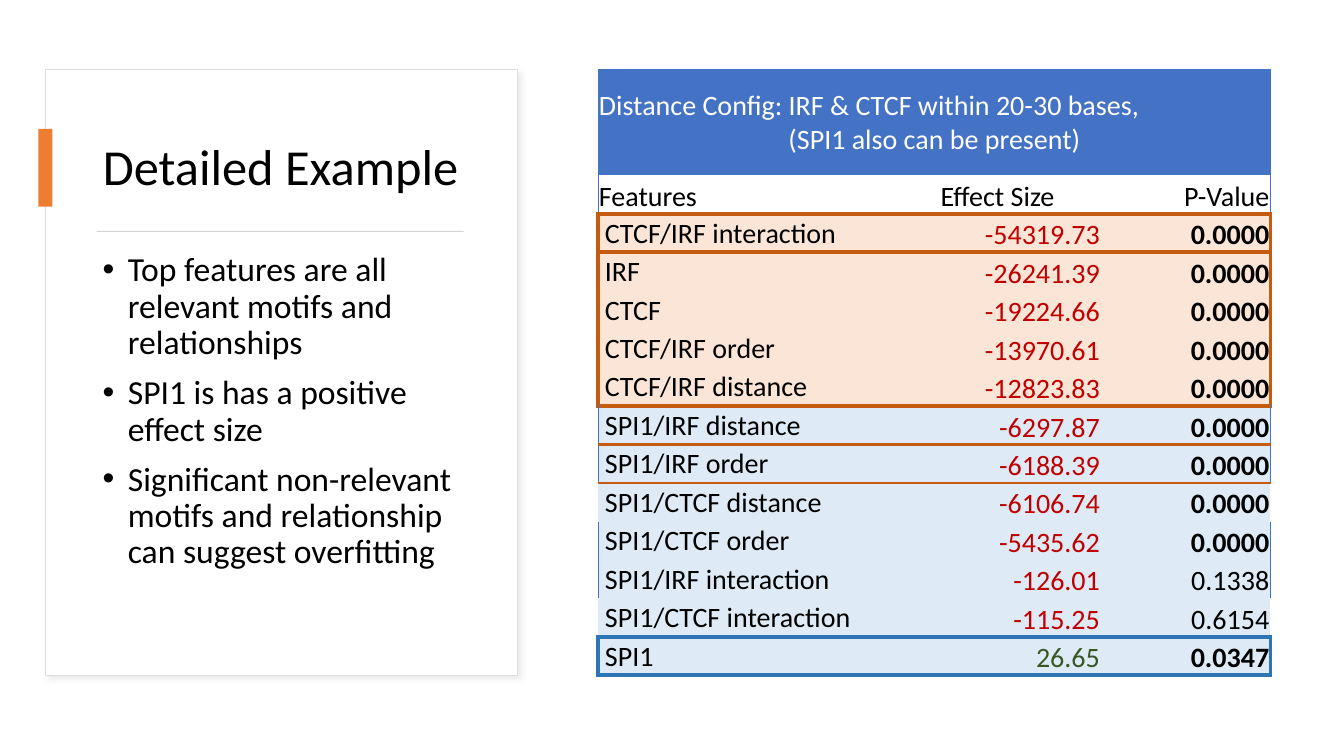
from pptx import Presentation
from pptx.dml.color import RGBColor
from pptx.enum.shapes import MSO_SHAPE
from pptx.enum.text import MSO_ANCHOR, MSO_AUTO_SIZE, PP_ALIGN
from pptx.oxml import parse_xml
from pptx.oxml.ns import nsdecls
from pptx.util import Inches, Pt

WHITE = RGBColor(0xFF, 0xFF, 0xFF)
BLACK = RGBColor(0, 0, 0)
CARD_LINE = RGBColor(0xDE, 0xDE, 0xDE)
RULE_GREY = RGBColor(0xD5, 0xD5, 0xD5)
ORANGE = RGBColor(0xED, 0x7D, 0x31)
BLUE = RGBColor(0x44, 0x72, 0xC4)
PEACH = RGBColor(0xFB, 0xE5, 0xD6)
PALE_BLUE = RGBColor(0xDE, 0xEB, 0xF7)
RED = RGBColor(0xC0, 0, 0)
GREEN = RGBColor(0x38, 0x57, 0x23)
DARK_ORANGE = RGBColor(0xC5, 0x5A, 0x11)
DARK_BLUE = RGBColor(0x2E, 0x75, 0xB6)

THIN = (BLUE, 0.5)
ORANGE_FRAME = (DARK_ORANGE, 3)
BLUE_FRAME = (DARK_BLUE, 3)

FEATURES = [
    ("CTCF/IRF interaction", "-54319.73", "0.0000"),
    ("IRF", "-26241.39", "0.0000"),
    ("CTCF", "-19224.66", "0.0000"),
    ("CTCF/IRF order", "-13970.61", "0.0000"),
    ("CTCF/IRF distance", "-12823.83", "0.0000"),
    ("SPI1/IRF distance", "-6297.87", "0.0000"),
    ("SPI1/IRF order", "-6188.39", "0.0000"),
    ("SPI1/CTCF distance", "-6106.74", "0.0000"),
    ("SPI1/CTCF order", "-5435.62", "0.0000"),
    ("SPI1/IRF interaction", "-126.01", "0.1338"),
    ("SPI1/CTCF interaction", "-115.25", "0.6154"),
    ("SPI1", "26.65", "0.0347"),
]
BULLETS = [
    "Top features are all relevant motifs and relationships",
    "SPI1 is has a positive effect size",
    "Significant non-relevant motifs and relationship can suggest overfitting",
]


def add_span(para, text, size, color, bold=False):
    span = para.add_run()
    span.text = text
    span.font.name = "Calibri"
    span.font.size = Pt(size)
    span.font.bold = bold
    span.font.color.rgb = color


def set_borders(cell, borders):
    """Give the cell the borders named by side: L, R, T, B."""
    sides = [side for side in "LRTB" if side in borders]
    for place, side in enumerate(sides):
        color, width = borders[side]
        line = parse_xml(
            f'<a:ln{side} {nsdecls("a")} w="{Pt(width)}"><a:solidFill>'
            f'<a:srgbClr val="{color}"/></a:solidFill></a:ln{side}>')
        cell._tc.get_or_add_tcPr().insert(place, line)


deck = Presentation()
deck.slide_width = Inches(13.33)
deck.slide_height = Inches(7.5)
page = deck.slides.add_slide(deck.slide_layouts[5])

# Card with its accent bar and rule
for left, top, width, height, fill in [
    (0.45, 0.69, 4.68, 6.01, WHITE),
    (0.38, 1.28, 0.14, 0.77, ORANGE),
    (0.96, 2.29, 3.64, 0.01, RULE_GREY),
]:
    box = page.shapes.add_shape(MSO_SHAPE.RECTANGLE, Inches(left), Inches(top),
                                Inches(width), Inches(height))
    box.shadow.inherit = False
    box.fill.solid()
    box.fill.fore_color.rgb = fill
    box.line.fill.background()
    if fill == WHITE:
        box.line.color.rgb = CARD_LINE
        box.line.width = Pt(0.75)
        effects = box._element.spPr.find(
            "{http://schemas.openxmlformats.org/drawingml/2006/main}effectLst")
        effects.append(parse_xml(
            f'<a:outerShdw {nsdecls("a")} blurRad="{Pt(4)}" dist="{Pt(3)}" '
            'dir="2700000" algn="tl" rotWithShape="0"><a:srgbClr val="D9D9D9">'
            '<a:alpha val="50000"/></a:srgbClr></a:outerShdw>'))

# Title, brought in front of the card
title = page.shapes.title
title.element.getparent().append(title.element)
title.left, title.top = Inches(0.92), Inches(1.07)
title.width, title.height = Inches(3.73), Inches(1.21)
title.text_frame.auto_size = MSO_AUTO_SIZE.NONE
title.text_frame.vertical_anchor = MSO_ANCHOR.MIDDLE
para = title.text_frame.paragraphs[0]
para.alignment = PP_ALIGN.LEFT
para.line_spacing = 0.9
add_span(para, "Detailed Example", 36, BLACK)

# Bulleted remarks
remarks = page.shapes.add_textbox(Inches(0.92), Inches(2.46), Inches(3.73), Inches(3.89))
remarks.text_frame.word_wrap = True
for index, remark in enumerate(BULLETS):
    para = remarks.text_frame.add_paragraph() if index else remarks.text_frame.paragraphs[0]
    para.line_spacing = 0.9
    para.space_before = Pt(10)
    properties = para._p.get_or_add_pPr()
    properties.set("marL", str(Inches(0.25)))
    properties.set("indent", str(Inches(-0.25)))
    properties.append(parse_xml(f'<a:buFont {nsdecls("a")} typeface="Arial"/>'))
    properties.append(parse_xml(f'<a:buChar {nsdecls("a")} char="•"/>'))
    add_span(para, remark, 24, BLACK)

# Feature table without a built-in style
frame = page.shapes.add_table(len(FEATURES) + 2, 3, Inches(5.93), Inches(0.69),
                              Inches(6.68), Inches(6.01))
table = frame.table
table.first_row = table.horz_banding = False
for style in table._tbl.tblPr:
    style.text = "{2D5ABB26-0587-4C30-8999-92F81FD0307C}"
for column, width in zip(table.columns, (3.39, 1.6, 1.68)):
    column.width = Inches(width)
for row in table.rows:
    row.height = Inches(4.96 / 13)
    for cell in row.cells:
        cell.margin_left = cell.margin_right = cell.margin_top = Inches(0.01)
        cell.margin_bottom = 0
        cell.vertical_anchor = MSO_ANCHOR.BOTTOM
table.rows[0].height = Inches(1.05)

# Table heading
heading = table.cell(0, 0)
heading.merge(table.cell(0, 2))
heading.vertical_anchor = MSO_ANCHOR.MIDDLE
heading.fill.solid()
heading.fill.fore_color.rgb = BLUE
set_borders(heading, {"L": THIN, "R": THIN, "T": THIN})
add_span(heading.text_frame.paragraphs[0],
         "Distance Config: IRF & CTCF within 20-30 bases,", 20, WHITE)
para = heading.text_frame.add_paragraph()
para._p.get_or_add_pPr().set("marL", str(Inches(1.88)))
add_span(para, "(SPI1 also can be present)", 20, WHITE)

# Column names
for index, name in enumerate(("Features", "Effect Size", "P-Value")):
    cell = table.cell(1, index)
    para = cell.text_frame.paragraphs[0]
    para.alignment = PP_ALIGN.RIGHT if index == 2 else PP_ALIGN.LEFT
    add_span(para, name, 20, BLACK)
    sides = {0: {"L": THIN}, 1: {}, 2: {"R": THIN}}[index]
    set_borders(cell, {"B": ORANGE_FRAME, **sides})

# Feature rows: the first five and the last are framed
last = len(FEATURES) - 1
tops = {0: ORANGE_FRAME, 5: ORANGE_FRAME, 6: (DARK_ORANGE, 2.25), last: BLUE_FRAME}
bottoms = {row - 1: border for row, border in tops.items()}
bottoms[last] = BLUE_FRAME
edges = {row: ORANGE_FRAME for row in range(5)}
edges.update({5: THIN, 6: THIN, 8: THIN, 9: THIN, last: BLUE_FRAME})
for row, values in enumerate(FEATURES):
    for index, value in enumerate(values):
        cell = table.cell(row + 2, index)
        cell.fill.solid()
        cell.fill.fore_color.rgb = PEACH if row < 5 else PALE_BLUE
        para = cell.text_frame.paragraphs[0]
        color = BLACK
        if index == 0:
            cell.vertical_anchor = MSO_ANCHOR.MIDDLE
            cell.margin_left = Inches(0.07)
        else:
            para.alignment = PP_ALIGN.RIGHT
        if index == 1:
            color = RED if float(value) < 0 else GREEN
        add_span(para, value, 20, color, index == 2 and float(value) < 0.05)
        borders = {"T": tops.get(row), "B": bottoms.get(row)}
        if index != 1:
            borders["L" if index == 0 else "R"] = edges.get(row)
        set_borders(cell, {side: border for side, border in borders.items() if border})

deck.save("out.pptx")
